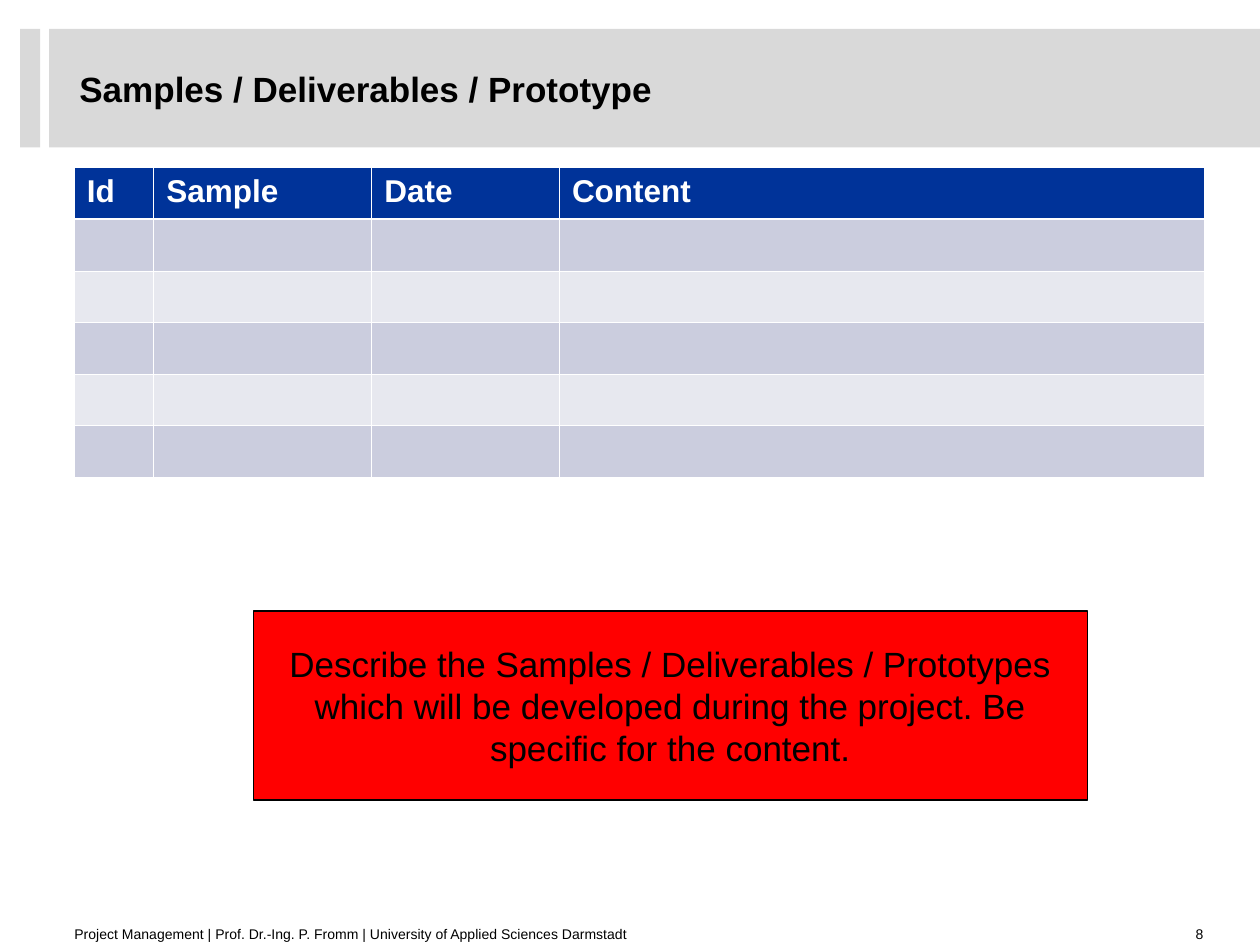
import lxml.etree
import pptx
import pptx.dml.color
import pptx.enum.shapes
import pptx.enum.text
import pptx.oxml.ns
import pptx.util

Inches, Pt = pptx.util.Inches, pptx.util.Pt
ALIGN, ANCHOR = pptx.enum.text.PP_ALIGN, pptx.enum.text.MSO_ANCHOR
qn = pptx.oxml.ns.qn

# Content
TITLE = "Samples / Deliverables / Prototype"
HEADERS = ["Id", "Sample", "Date", "Content"]
HINT = ("Describe the Samples / Deliverables / Prototypes which will be "
        "developed during the project. Be specific for the content.")
FOOTER = "Project Management | Prof. Dr.-Ing. P. Fromm | University of Applied Sciences Darmstadt"
PAGE_NUMBER = "8"

# Layout in inches
WIDTH, HEIGHT = 10, 7.5
MARGIN = 0.59
BAR_TOP, BAR_HEIGHT = 0.23, 0.94
BARS = [(0.39, WIDTH - 0.39), (0.16, 0.16)]  # left, width
COLUMN_WIDTHS = [0.63, 1.73, 1.49, 5.12]
EMPTY_ROWS = 5
TABLE_TOP, TABLE_HEIGHT = 1.33, 2.46
ROW_HEIGHT = TABLE_HEIGHT / (EMPTY_ROWS + 1)

GREY, BLUE, RED = "D9D9D9", "003399", "FF0000"
BLACK, WHITE = "000000", "FFFFFF"
BANDS = ["CBCDDE", "E7E8EF"]
THIN, THICK = 0.45, 1.47


def color(value):
    return pptx.dml.color.RGBColor.from_string(value)


def paint(target, value):
    target.fill.solid()
    target.fill.fore_color.rgb = color(value)


def write(frame, text, size, value=BLACK, bold=False, align=ALIGN.LEFT):
    frame.text = text
    para = frame.paragraphs[0]
    para.alignment = align
    for span in para.runs:
        span.font.name, span.font.size, span.font.bold = "Arial", Pt(size), bold
        span.font.color.rgb = color(value)


def set_frame(frame, anchor, left=0, top=0, right=0, bottom=0):
    frame.word_wrap = True
    frame.auto_size = pptx.enum.text.MSO_AUTO_SIZE.NONE
    frame.vertical_anchor = anchor
    frame.margin_left, frame.margin_top = Inches(left), Inches(top)
    frame.margin_right, frame.margin_bottom = Inches(right), Inches(bottom)


def add_box(page, left, top, width, height, fill):
    box = page.shapes.add_shape(pptx.enum.shapes.MSO_SHAPE.RECTANGLE, Inches(left),
                                Inches(top), Inches(width), Inches(height))
    box.shadow.inherit = False
    paint(box, fill)
    box.line.fill.background()
    return box


def add_text(page, left, top, width, height, text, align, inset_left=0):
    box = page.shapes.add_textbox(Inches(left), Inches(top), Inches(width), Inches(height))
    set_frame(box.text_frame, ANCHOR.BOTTOM, left=inset_left, right=0.1)
    write(box.text_frame, text, 8, align=align)


def set_borders(cell, top, bottom):
    properties = cell._tc.get_or_add_tcPr()
    widths = {"a:lnL": THIN, "a:lnR": THIN, "a:lnT": top, "a:lnB": bottom}
    for index, (tag, width) in enumerate(widths.items()):
        line = lxml.etree.Element(qn(tag), w=str(int(Pt(width))))
        fill = lxml.etree.SubElement(line, qn("a:solidFill"))
        lxml.etree.SubElement(fill, qn("a:srgbClr"), val=WHITE)
        properties.insert(index, line)


def add_header(page):
    for left, width in BARS:
        add_box(page, left, BAR_TOP, width, BAR_HEIGHT, GREY)
    title = page.shapes.title
    page.shapes._spTree.append(title._element)  # in front of the bars
    title.left, title.top = Inches(0.63), Inches(0.31)
    title.width, title.height = Inches(5.91), Inches(0.78)
    set_frame(title.text_frame, ANCHOR.MIDDLE)
    write(title.text_frame, TITLE, 20, bold=True)
    title.text_frame.paragraphs[0].line_spacing = Pt(24)


def add_samples_table(page):
    table = page.shapes.add_table(
        EMPTY_ROWS + 1, len(HEADERS), Inches(MARGIN), Inches(TABLE_TOP),
        Inches(sum(COLUMN_WIDTHS)), Inches(TABLE_HEIGHT)).table
    for column, width in zip(table.columns, COLUMN_WIDTHS):
        column.width = Inches(width)
    for number, row in enumerate(table.rows):
        row.height = Inches(ROW_HEIGHT)
        for cell, header in zip(row.cells, HEADERS):
            if number == 0:
                write(cell.text_frame, header, 18, WHITE, bold=True)
            paint(cell, BANDS[(number - 1) % 2] if number else BLUE)
            set_borders(cell, THICK if number == 1 else THIN,
                        THICK if number == 0 else THIN)


def main():
    deck = pptx.Presentation()
    deck.slide_width, deck.slide_height = Inches(WIDTH), Inches(HEIGHT)
    page = deck.slides.add_slide(deck.slide_layouts[5])

    add_header(page)
    add_samples_table(page)

    # Footer
    add_text(page, MARGIN, 7.27, 7.28, 0.21, FOOTER, ALIGN.LEFT)
    add_text(page, 9.12, 7.28, 0.53, 0.2, PAGE_NUMBER, ALIGN.RIGHT, inset_left=0.1)

    # Hint box
    hint = add_box(page, 2.01, 4.85, 6.62, 1.5, RED)
    hint.line.color.rgb = color(BLACK)
    hint.line.width = Pt(0.75)
    set_frame(hint.text_frame, ANCHOR.MIDDLE, 0.08, 0.08, 0.08, 0.08)
    write(hint.text_frame, HINT, 20, align=ALIGN.CENTER)

    deck.save("out.pptx")


if __name__ == "__main__":
    main()
